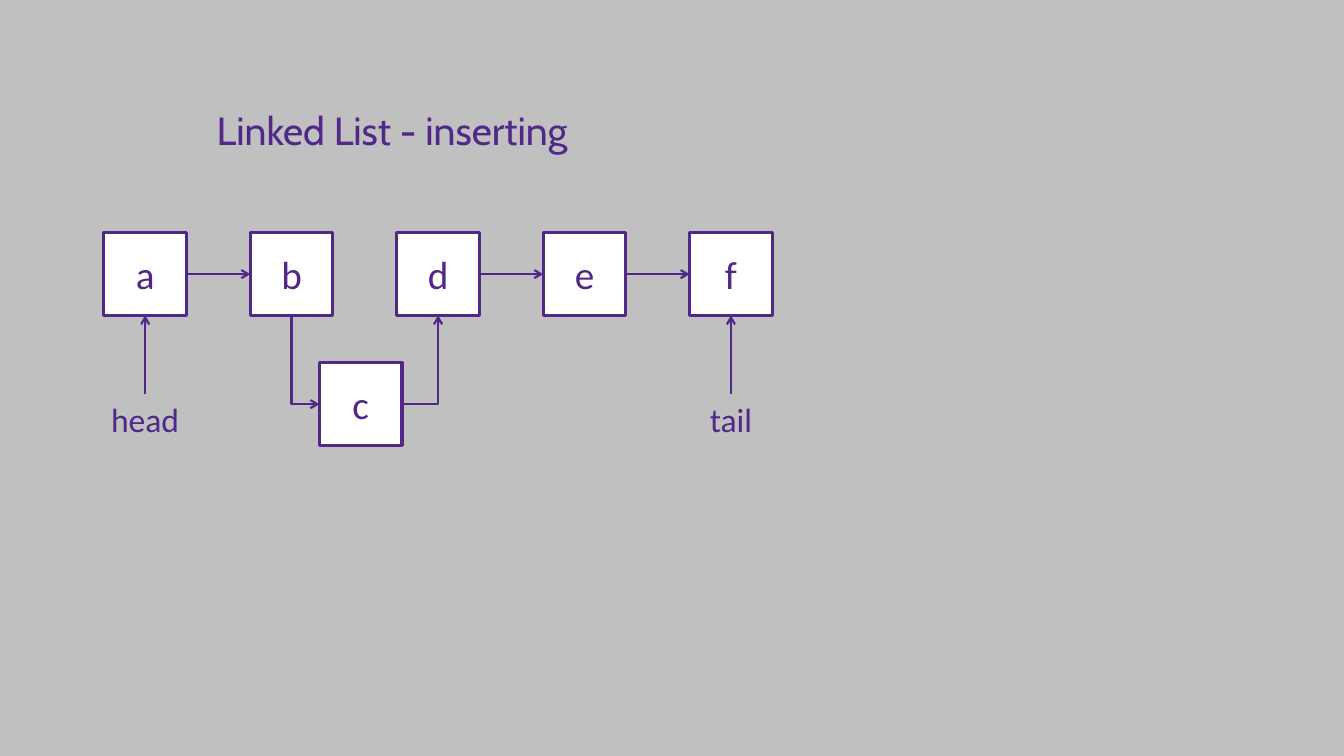
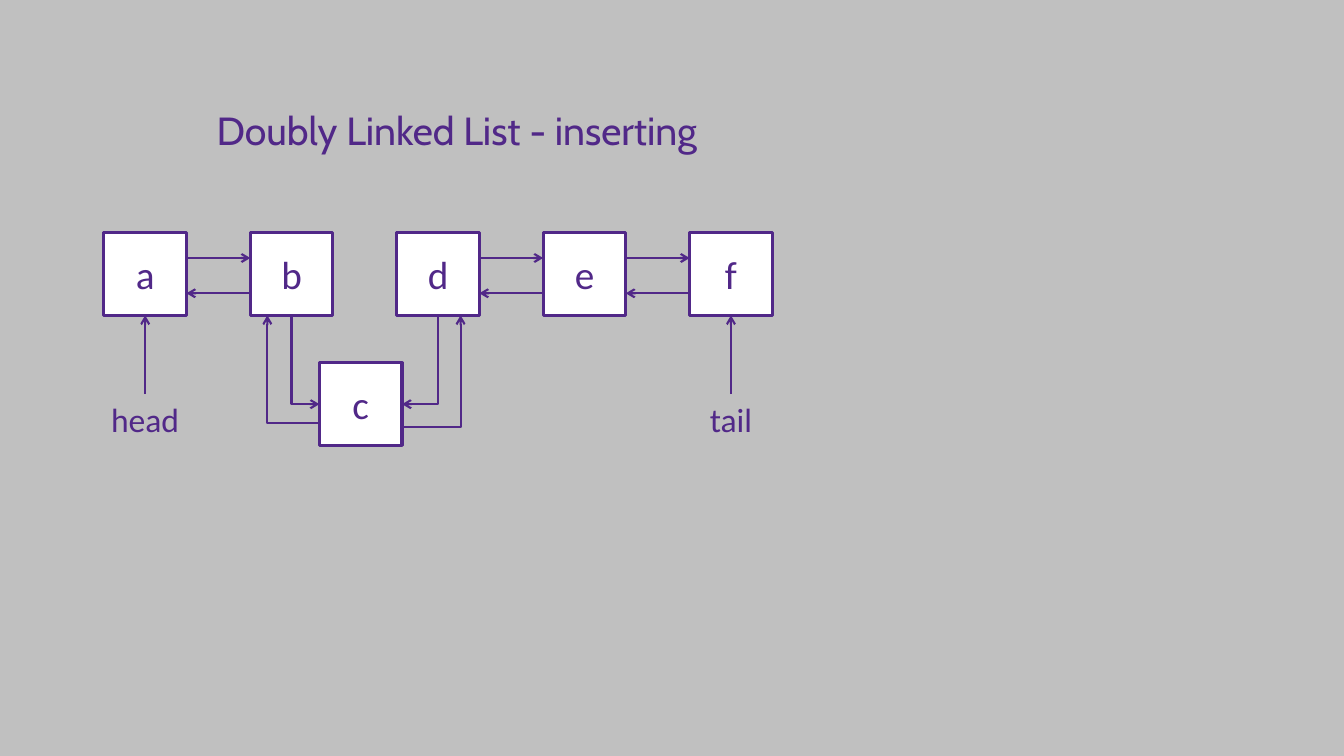
from typing import NamedTuple

from lxml.etree import SubElement
from pptx import Presentation
from pptx.dml.color import RGBColor
from pptx.enum.shapes import MSO_CONNECTOR as Link, MSO_SHAPE as Preset
from pptx.enum.text import MSO_ANCHOR as Anchor, MSO_AUTO_SIZE as AutoSize, PP_ALIGN as Align
from pptx.oxml.ns import qn
from pptx.util import Pt

# Shared look
PURPLE, WHITE, GREY = "512888", "FFFFFF", "C0C0C0"
TITLE_FONT, BODY_FONT = "Cabin", "Calibri"
TITLE_ONLY = 5

# Diagram grid, in points
BOX = 59
ROW_LEFT, ROW_TOP, ROW_STEP = 74.2, 166.3, 104.6
NEW_LEFT, NEW_TOP = 228.2, 259.2
LABEL_TOP, LABEL_WIDTH, LABEL_HEIGHT = 281.5, 64, 36
NEXT_SHIFT, PREVIOUS_SHIFT = -11.5, 13.7  # from the middle of the row

# Connection sites of a rectangle
LEFT, BOTTOM, RIGHT = 1, 2, 3


class Node(NamedTuple):
    name: str
    left: float
    top: float

    @property
    def center(self) -> float:
        return self.left + BOX / 2

    @property
    def middle(self) -> float:
        return self.top + BOX / 2

    @property
    def right(self) -> float:
        return self.left + BOX

    @property
    def bottom(self) -> float:
        return self.top + BOX


class Detour(NamedTuple):
    """Back pointer from the new node to the underside of a neighbour."""
    start_x: float
    turn_x: float
    y: float


NODES = {name: Node(name, ROW_LEFT + place * ROW_STEP, ROW_TOP)
         for place, name in enumerate("abdef")}
NODES["c"] = Node("c", NEW_LEFT, NEW_TOP)
LABELS = {"head": "a", "tail": "f"}
NEIGHBOURS = [("a", "b"), ("d", "e"), ("e", "f")]
DETOURS = [Detour(NODES["c"].left, 191, 302.4),
           Detour(NODES["c"].right, 329, 305.3)]


def color(value: str) -> RGBColor:
    return RGBColor.from_string(value)


def add_text(shape, text: str, size: float, font_name: str, align) -> None:
    para = shape.text_frame.paragraphs[0]
    para.alignment = align
    span = para.add_run()
    span.text = text
    span.font.size = Pt(size)
    span.font.name = font_name
    span.font.color.rgb = color(PURPLE)


def style_arrow(line_shape, at_begin: bool = False) -> None:
    """Purple line with an open arrowhead at one end and no shadow."""
    line_shape.line.color.rgb = color(PURPLE)
    line_shape.line.width = Pt(1.5)
    properties = line_shape.element.spPr
    end = "a:headEnd" if at_begin else "a:tailEnd"
    SubElement(properties.find(qn("a:ln")), qn(end), type="arrow")
    SubElement(properties, qn("a:effectLst"))


def add_title(page, text: str) -> None:
    title = page.shapes.title
    title.left, title.top, title.width, title.height = Pt(147.6), Pt(72), Pt(480), Pt(41)
    frame = title.text_frame
    frame.word_wrap = True
    frame.auto_size = AutoSize.NONE
    frame.vertical_anchor = Anchor.TOP
    add_text(title, text, 28, TITLE_FONT, Align.LEFT)


def add_node(page, node: Node):
    box = page.shapes.add_shape(Preset.RECTANGLE, Pt(node.left), Pt(node.top), Pt(BOX), Pt(BOX))
    box.shadow.inherit = False
    box.fill.solid()
    box.fill.fore_color.rgb = color(WHITE)
    box.line.color.rgb = color(PURPLE)
    box.line.width = Pt(2.25)
    box.text_frame.vertical_anchor = Anchor.MIDDLE
    add_text(box, node.name, 28, BODY_FONT, Align.CENTER)
    return box


def add_straight(page, x1: float, y1: float, x2: float, y2: float):
    arrow = page.shapes.add_connector(Link.STRAIGHT, Pt(x1), Pt(y1), Pt(x2), Pt(y2))
    style_arrow(arrow)
    return arrow


def add_label(page, text: str, node: Node, box) -> None:
    label = page.shapes.add_textbox(Pt(node.center - LABEL_WIDTH / 2), Pt(LABEL_TOP),
                                    Pt(LABEL_WIDTH), Pt(LABEL_HEIGHT))
    label.text_frame.word_wrap = False
    add_text(label, text, 24, BODY_FONT, Align.CENTER)
    arrow = add_straight(page, node.center, LABEL_TOP, node.center, node.bottom)
    arrow.end_connect(box, BOTTOM)


def add_elbow(page, boxes: dict, side: int, target: str, into_new: bool) -> None:
    """One-bend link from a side of the new node to a neighbour's underside."""
    new, node = NODES["c"], NODES[target]
    start_x = new.left if side == LEFT else new.right
    elbow = page.shapes.add_connector(Link.ELBOW, Pt(start_x), Pt(new.middle),
                                      Pt(node.center), Pt(node.bottom))
    elbow.element.spPr.find(qn("a:prstGeom")).set("prst", "bentConnector2")
    elbow.begin_connect(boxes["c"], side)
    elbow.end_connect(boxes[target], BOTTOM)
    style_arrow(elbow, at_begin=into_new)


def add_detour(page, detour: Detour) -> None:
    builder = page.shapes.build_freeform(Pt(detour.start_x), Pt(detour.y))
    builder.add_line_segments([(Pt(detour.turn_x), Pt(detour.y)),
                               (Pt(detour.turn_x), Pt(ROW_TOP + BOX))], close=False)
    outline = builder.convert_to_shape()
    outline.fill.background()
    style_arrow(outline)


def add_list_page(deck, title: str, doubly: bool) -> None:
    page = deck.slides.add_slide(deck.slide_layouts[TITLE_ONLY])
    add_title(page, title)
    boxes = {name: add_node(page, node) for name, node in NODES.items()}
    for text, name in LABELS.items():
        add_label(page, text, NODES[name], boxes[name])

    # Links along the row
    for first, second in NEIGHBOURS:
        x1, x2, y = NODES[first].right, NODES[second].left, NODES[first].middle
        if doubly:
            add_straight(page, x1, y + NEXT_SHIFT, x2, y + NEXT_SHIFT)
            add_straight(page, x2, y + PREVIOUS_SHIFT, x1, y + PREVIOUS_SHIFT)
        else:
            arrow = add_straight(page, x1, y, x2, y)
            arrow.begin_connect(boxes[first], RIGHT)
            arrow.end_connect(boxes[second], LEFT)

    # Links through the inserted node
    add_elbow(page, boxes, LEFT, "b", into_new=True)
    add_elbow(page, boxes, RIGHT, "d", into_new=doubly)
    if doubly:
        for detour in DETOURS:
            add_detour(page, detour)


def main() -> None:
    deck = Presentation()
    deck.slide_width, deck.slide_height = Pt(960), Pt(540)
    backdrop = deck.slide_master.background.fill
    backdrop.solid()
    backdrop.fore_color.rgb = color(GREY)
    add_list_page(deck, "Linked List - inserting", doubly=False)
    add_list_page(deck, "Doubly Linked List - inserting", doubly=True)
    deck.save("out.pptx")


if __name__ == "__main__":
    main()
